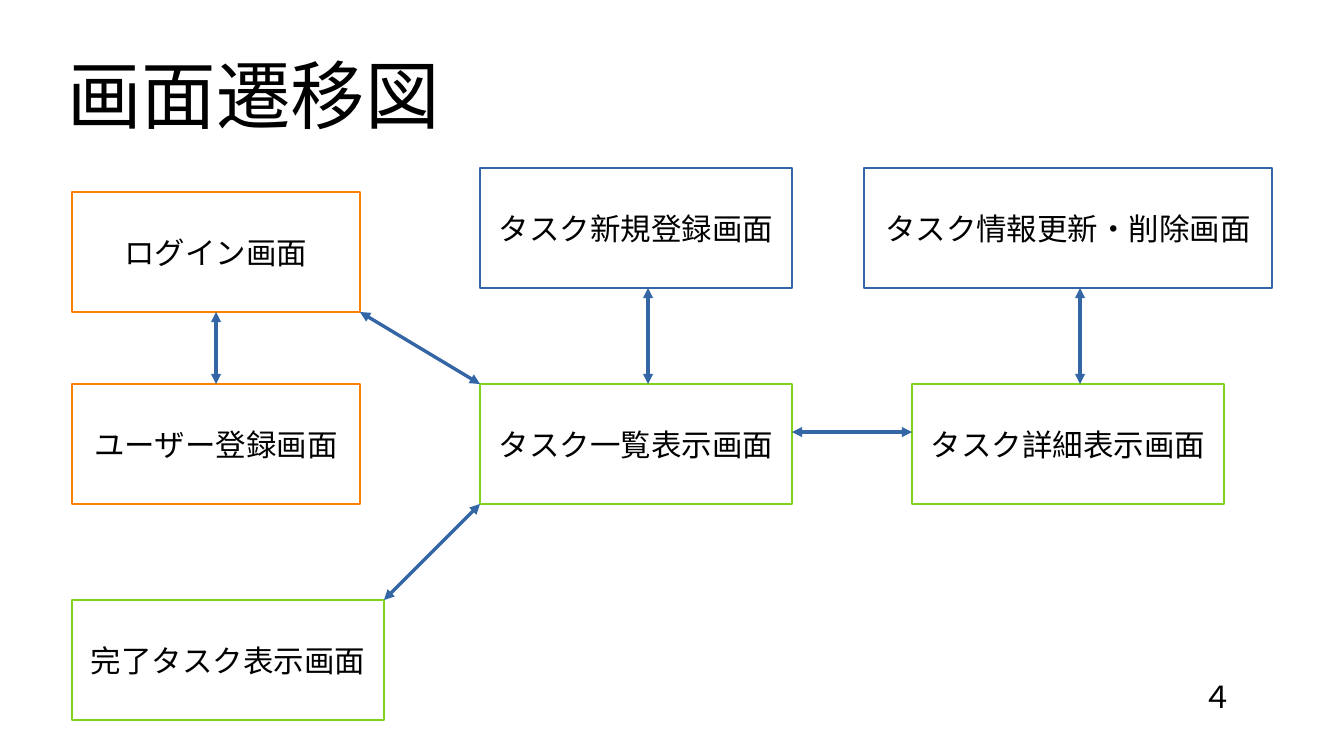
from dataclasses import dataclass

from lxml import etree
from pptx import Presentation
from pptx.dml.color import RGBColor
from pptx.enum.shapes import MSO_CONNECTOR, MSO_SHAPE
from pptx.enum.text import MSO_ANCHOR, MSO_AUTO_SIZE, PP_ALIGN
from pptx.oxml.ns import qn
from pptx.slide import Slide
from pptx.text.text import TextFrame
from pptx.util import Cm, Length, Pt

RECTANGLE = MSO_SHAPE.RECTANGLE
STRAIGHT = MSO_CONNECTOR.STRAIGHT
MIDDLE, TOP = MSO_ANCHOR.MIDDLE, MSO_ANCHOR.TOP
LEFT, CENTER = PP_ALIGN.LEFT, PP_ALIGN.CENTER
FIXED_SIZE = MSO_AUTO_SIZE.NONE
TITLE_ONLY = 5

# The grid: half-centimetre columns and rows
PAGE_COLUMNS, PAGE_ROWS = 56, 31.5
SCREEN_ROWS = 5


def grid(steps: float) -> Length:
    return Cm(0.5 * steps)


@dataclass(frozen=True)
class Theme:
    font: str = "Arial"
    title_size: Length = Pt(44)
    text_size: Length = Pt(18)
    border: Length = Pt(1.5)
    hairline: Length = Pt(0)
    text: RGBColor = RGBColor(0x00, 0x00, 0x00)
    paper: RGBColor = RGBColor(0xFF, 0xFF, 0xFF)
    account: RGBColor = RGBColor(0xFF, 0x80, 0x00)
    view: RGBColor = RGBColor(0x81, 0xD4, 0x1A)
    edit: RGBColor = RGBColor(0x34, 0x65, 0xA4)


THEME = Theme()


@dataclass(frozen=True)
class Screen:
    label: str
    column: float
    row: float
    columns: float
    color: RGBColor


@dataclass(frozen=True)
class Transition:
    start: tuple[float, float]
    end: tuple[float, float]


SCREENS = (
    Screen("ログイン画面", 3, 8, 12, THEME.account),
    Screen("ユーザー登録画面", 3, 16, 12, THEME.account),
    Screen("タスク一覧表示画面", 20, 16, 13, THEME.view),
    Screen("タスク詳細表示画面", 38, 16, 13, THEME.view),
    Screen("完了タスク表示画面", 3, 25, 13, THEME.view),
    Screen("タスク新規登録画面", 20, 7, 13, THEME.edit),
    Screen("タスク情報更新・削除画面", 36, 7, 17, THEME.edit),
)

TRANSITIONS = (
    Transition((9, 13), (9, 16)),
    Transition((15, 13), (20, 16)),
    Transition((27, 12), (27, 16)),
    Transition((45, 12), (45, 16)),
    Transition((33, 18), (38, 18)),
    Transition((20, 21), (16, 25)),
)


def write_text(frame: TextFrame, text: str, size: Length,
               alignment: PP_ALIGN, anchor: MSO_ANCHOR) -> None:
    frame.word_wrap = True
    frame.auto_size = FIXED_SIZE
    frame.vertical_anchor = anchor
    para = frame.paragraphs[0]
    para.alignment = alignment
    span = para.add_run()
    span.text = text
    span.font.name = THEME.font
    span.font.size = size
    span.font.color.rgb = THEME.text


def add_title(page: Slide, text: str) -> None:
    title = page.shapes.title
    title.left, title.top = grid(2.8), grid(1.25)
    title.width, title.height = grid(50.4), grid(5.3)
    frame = title.text_frame
    frame.margin_left = frame.margin_right = 0
    frame.margin_top = frame.margin_bottom = 0
    write_text(frame, text, THEME.title_size, LEFT, MIDDLE)


def add_screen(page: Slide, screen: Screen) -> None:
    box = page.shapes.add_shape(RECTANGLE, grid(screen.column), grid(screen.row),
                                grid(screen.columns), grid(SCREEN_ROWS))
    box.shadow.inherit = False
    box.fill.solid()
    box.fill.fore_color.rgb = THEME.paper
    box.line.color.rgb = screen.color
    box.line.width = THEME.border
    write_text(box.text_frame, screen.label, THEME.text_size, CENTER, MIDDLE)


def add_transition(page: Slide, transition: Transition) -> None:
    start, end = map(grid, transition.start), map(grid, transition.end)
    arrow = page.shapes.add_connector(STRAIGHT, *start, *end)
    arrow.line.color.rgb = THEME.edit
    arrow.line.width = THEME.hairline
    # Arrowheads at both ends, no shadow
    outline = arrow.line._get_or_add_ln()
    for end_tag in ("a:headEnd", "a:tailEnd"):
        etree.SubElement(outline, qn(end_tag), type="triangle", w="med", len="med")
    etree.SubElement(arrow._element.spPr, qn("a:effectLst"))


def add_page_number(page: Slide, number: str) -> None:
    box = page.shapes.add_textbox(grid(49.6), grid(28), grid(6), grid(2.4))
    write_text(box.text_frame, number, THEME.text_size, LEFT, TOP)


def main() -> None:
    deck = Presentation()
    deck.slide_width, deck.slide_height = grid(PAGE_COLUMNS), grid(PAGE_ROWS)
    page = deck.slides.add_slide(deck.slide_layouts[TITLE_ONLY])

    add_title(page, "画面遷移図")
    for screen in SCREENS:
        add_screen(page, screen)
    for transition in TRANSITIONS:
        add_transition(page, transition)
    add_page_number(page, "４")

    deck.save("out.pptx")


if __name__ == "__main__":
    main()
